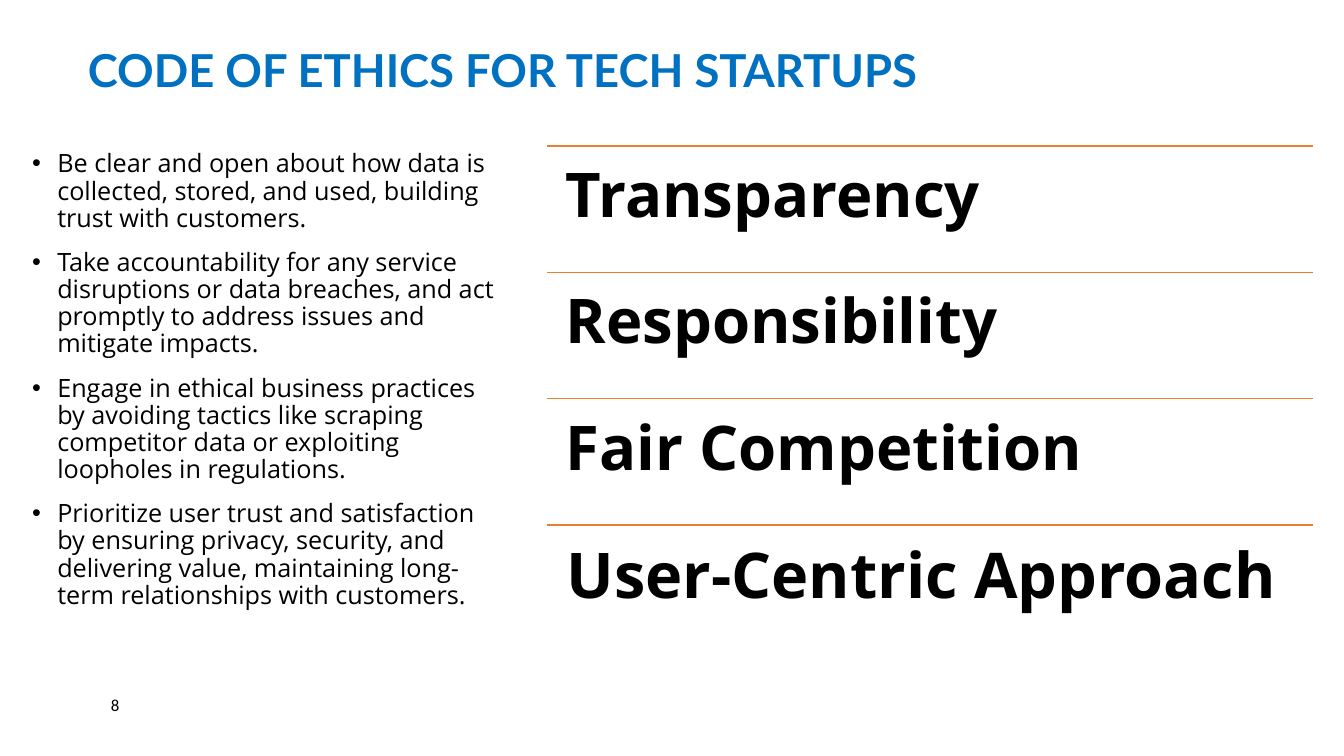
from dataclasses import dataclass

from lxml import etree
from pptx import Presentation
from pptx.dml.color import RGBColor
from pptx.enum.shapes import MSO_CONNECTOR
from pptx.enum.text import MSO_ANCHOR, PP_ALIGN
from pptx.oxml.ns import qn
from pptx.util import Inches, Pt

STRAIGHT = MSO_CONNECTOR.STRAIGHT
TOP, MIDDLE = MSO_ANCHOR.TOP, MSO_ANCHOR.MIDDLE
LEFT, CENTER = PP_ALIGN.LEFT, PP_ALIGN.CENTER


@dataclass(frozen=True)
class Theme:
    blue: RGBColor = RGBColor(0x00, 0x70, 0xC0)
    black: RGBColor = RGBColor(0x00, 0x00, 0x00)
    orange: RGBColor = RGBColor(0xED, 0x7D, 0x31)
    title_font: str = "Lato"
    text_font: str = "Open Sans"
    number_font: str = "Calibri"
    title_size: float = 32.4
    guideline_size: float = 18
    number_size: float = 12
    rule_width: float = 1
    line_spacing: float = 0.9


THEME = Theme()


@dataclass(frozen=True)
class Principle:
    name: str
    guideline: str
    size: float = 44
    inset: float = 0.18


PRINCIPLES = [
    Principle("Transparency",
              "Be clear and open about how data is collected, stored, and used, "
              "building trust with customers."),
    Principle("Responsibility",
              "Take accountability for any service disruptions or data breaches, "
              "and act promptly to address issues and mitigate impacts."),
    Principle("Fair Competition",
              "Engage in ethical business practices by avoiding tactics like scraping "
              "competitor data or exploiting loopholes in regulations."),
    Principle("User-Centric Approach",
              "Prioritize user trust and satisfaction by ensuring privacy, security, "
              "and delivering value, maintaining long-term relationships with customers.",
              size=45, inset=0.19),
]

# Right-hand column of principles
COLUMN_LEFT, COLUMN_TOP, COLUMN_WIDTH = 5.43, 1.45, 7.59
ROW_HEIGHT = 5.01 / len(PRINCIPLES)


def set_all(target, values: dict) -> None:
    for attribute, value in values.items():
        setattr(target, attribute, value)


def add_text(slide, box: tuple, lines: list[str], font: dict, paragraph_format: dict,
             anchor=TOP, inset: float | None = None, bullet: bool = False) -> None:
    frame = slide.shapes.add_textbox(*map(Inches, box)).text_frame
    set_all(frame, {"word_wrap": True, "vertical_anchor": anchor})
    if inset is not None:
        sides = ("margin_left", "margin_top", "margin_right", "margin_bottom")
        set_all(frame, dict.fromkeys(sides, Inches(inset)))
    for index, line in enumerate(lines):
        paragraph = frame.add_paragraph() if index else frame.paragraphs[0]
        paragraph.text = line
        set_all(paragraph, paragraph_format)
        if bullet:
            add_bullet(paragraph)
        color = font["color"]
        set_all(paragraph.font, {key: font[key] for key in font if key != "color"})
        paragraph.font.color.rgb = color


def add_bullet(paragraph) -> None:
    properties = paragraph._p.get_or_add_pPr()
    properties.set("marL", str(Inches(0.25)))
    properties.set("indent", str(Inches(-0.25)))
    etree.SubElement(properties, qn("a:buFont")).set("typeface", "Arial")
    etree.SubElement(properties, qn("a:buChar")).set("char", "•")


def add_rule(slide, top: float) -> None:
    rule = slide.shapes.add_connector(
        STRAIGHT, Inches(COLUMN_LEFT), Inches(top),
        Inches(COLUMN_LEFT + COLUMN_WIDTH), Inches(top))
    rule.line.color.rgb = THEME.orange
    rule.line.width = Pt(THEME.rule_width)
    etree.SubElement(rule._element.spPr, qn("a:effectLst"))


def add_principle(slide, principle: Principle, top: float) -> None:
    add_rule(slide, top)
    add_text(slide, (COLUMN_LEFT, top, COLUMN_WIDTH, ROW_HEIGHT), [principle.name],
             {"name": THEME.text_font, "size": Pt(principle.size), "bold": True,
              "color": THEME.black},
             {"alignment": LEFT, "line_spacing": THEME.line_spacing},
             inset=principle.inset)


def main() -> None:
    deck = Presentation()
    set_all(deck, {"slide_width": Inches(13.33), "slide_height": Inches(7.5)})
    slide = deck.slides.add_slide(deck.slide_layouts[6])

    # Title
    add_text(slide, (0.57, 0.16, 8.83, 1.13), ["CODE OF ETHICS FOR TECH STARTUPS"],
             {"name": THEME.title_font, "size": Pt(THEME.title_size), "bold": True,
              "color": THEME.blue},
             {"alignment": CENTER, "line_spacing": THEME.line_spacing}, anchor=MIDDLE)

    # Guidelines
    add_text(slide, (0.22, 1.45, 4.87, 5.54), [item.guideline for item in PRINCIPLES],
             {"name": THEME.text_font, "size": Pt(THEME.guideline_size),
              "color": THEME.black},
             {"alignment": LEFT, "line_spacing": THEME.line_spacing,
              "space_after": Pt(12)}, bullet=True)

    # Slide number
    add_text(slide, (1, 6.83, 0.69, 0.32), ["8"],
             {"name": THEME.number_font, "size": Pt(THEME.number_size),
              "color": THEME.black},
             {"alignment": LEFT, "space_after": Pt(6)}, anchor=MIDDLE)

    # Principles, each under its rule
    for row, principle in enumerate(PRINCIPLES):
        add_principle(slide, principle, COLUMN_TOP + row * ROW_HEIGHT)

    deck.save("out.pptx")


if __name__ == "__main__":
    main()
